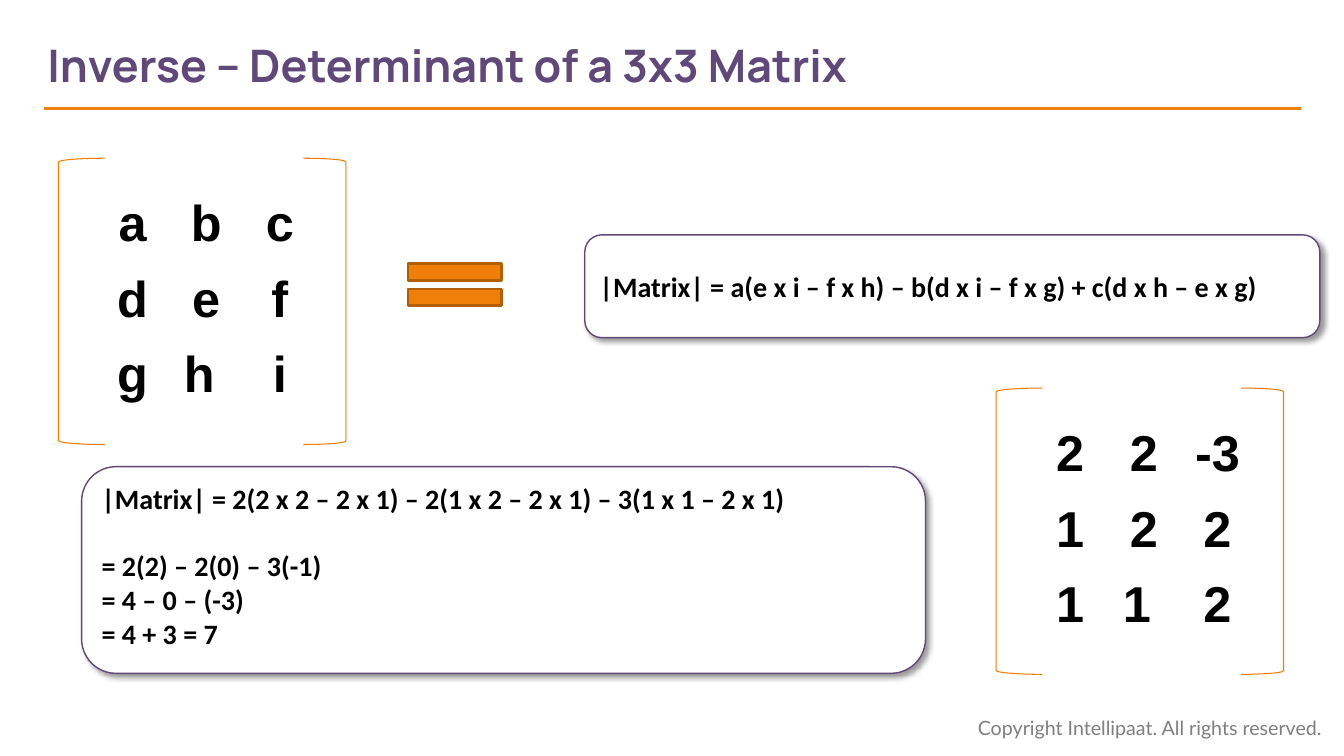
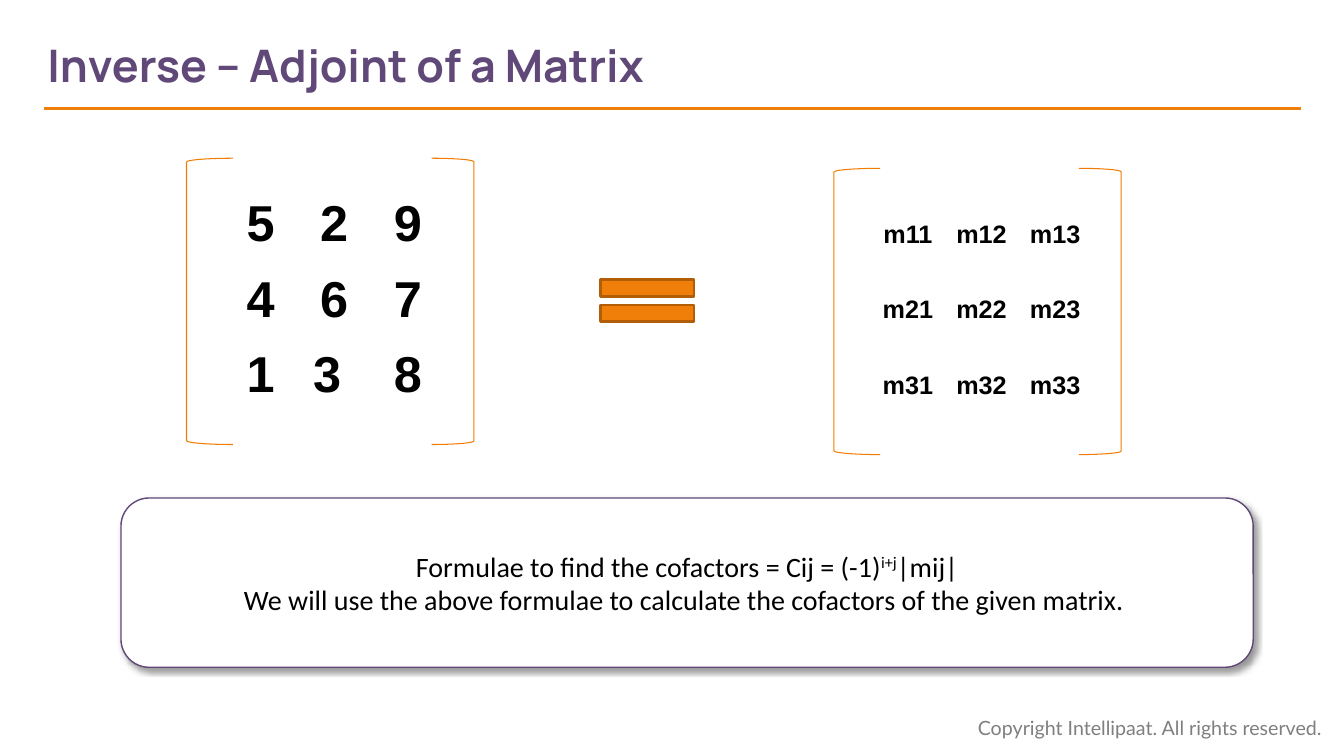
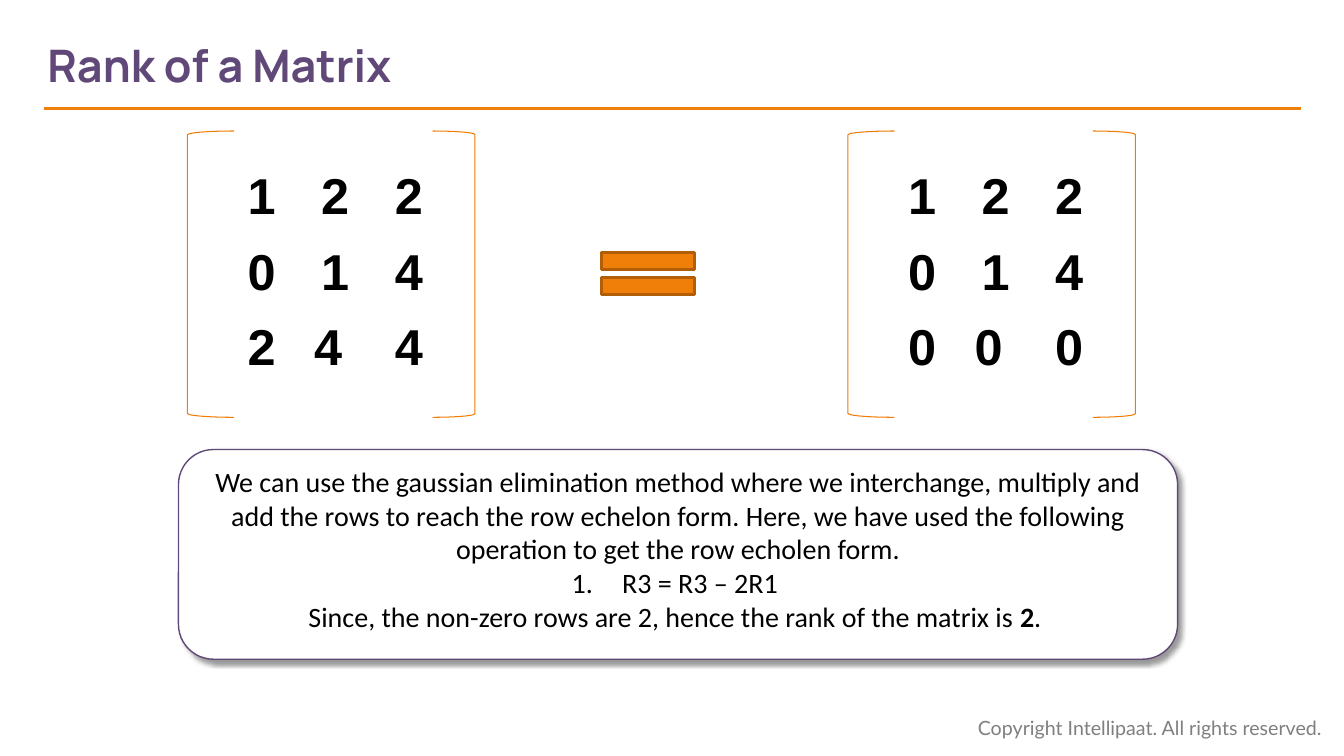
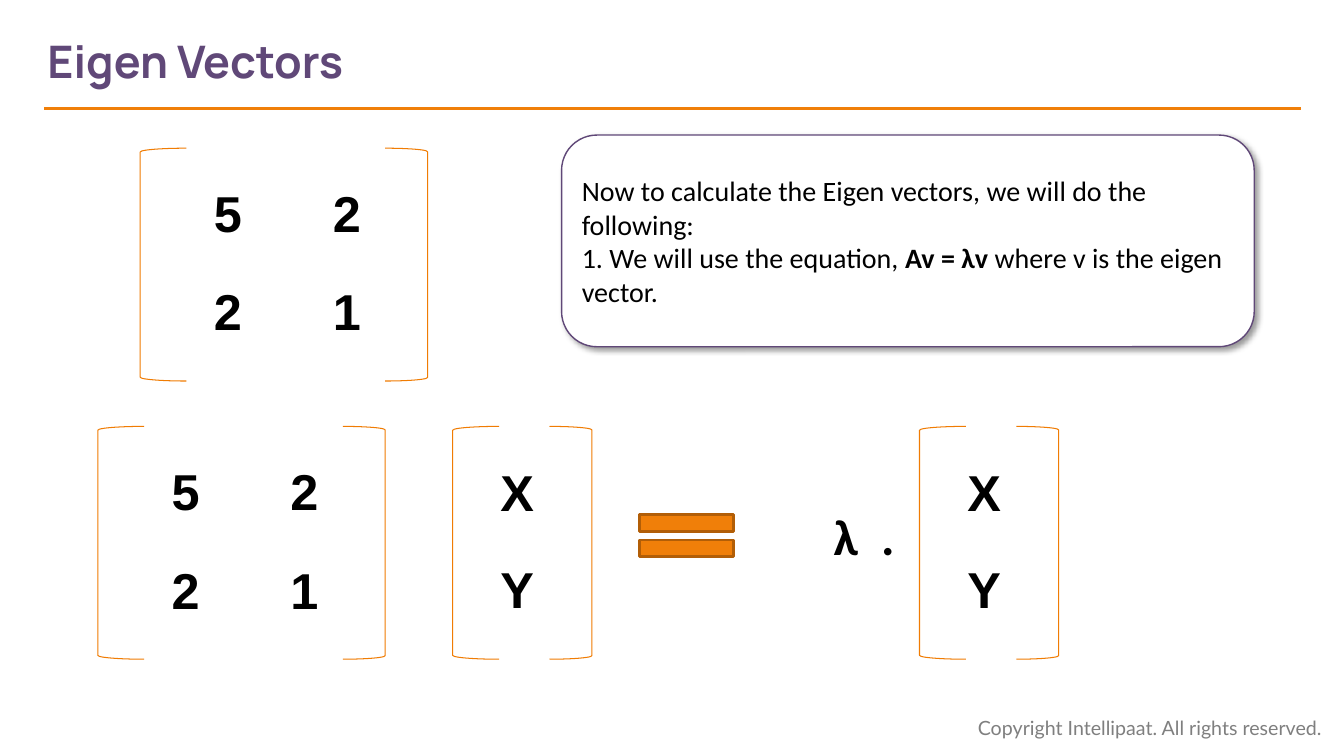
from dataclasses import dataclass

from lxml import etree
from pptx import Presentation
from pptx.dml.color import RGBColor
from pptx.enum.shapes import MSO_CONNECTOR, MSO_SHAPE
from pptx.enum.text import MSO_ANCHOR, PP_ALIGN
from pptx.oxml.ns import qn
from pptx.util import Inches, Pt

LEFT, CENTER = PP_ALIGN.LEFT, PP_ALIGN.CENTER
TOP, MIDDLE = MSO_ANCHOR.TOP, MSO_ANCHOR.MIDDLE
LEFT_BRACKET, RIGHT_BRACKET = MSO_SHAPE.LEFT_BRACKET, MSO_SHAPE.RIGHT_BRACKET
EQUALS, ROUNDED = MSO_SHAPE.MATH_EQUAL, MSO_SHAPE.ROUNDED_RECTANGLE
STRAIGHT = MSO_CONNECTOR.STRAIGHT
TITLE_ONLY = 5


@dataclass(frozen=True)
class Theme:
    purple: RGBColor = RGBColor(0x60, 0x48, 0x78)
    orange: RGBColor = RGBColor(0xF0, 0x7F, 0x09)
    bracket: RGBColor = RGBColor(0xF0, 0x7C, 0x03)
    brown: RGBColor = RGBColor(0xB2, 0x5E, 0x07)
    gray: RGBColor = RGBColor(0x7F, 0x7F, 0x7F)
    black: RGBColor = RGBColor(0, 0, 0)
    white: RGBColor = RGBColor(0xFF, 0xFF, 0xFF)
    title_font: str = "Manrope"
    body_font: str = "Calibri"
    matrix_font: str = "Arial"
    footer_font: str = "Lato"
    title_size: int = 32
    matrix_size: int = 36
    minor_size: int = 18
    body_size: int = 20
    footer_size: int = 14


@dataclass(frozen=True)
class MatrixFormat:
    """Bracket box, cell size and offset of the cells inside the box, in inches."""
    width: float
    height: float
    cell_width: float
    cell_height: float
    inset_x: float
    inset_y: float


THEME = Theme()
THREE_BY_THREE = MatrixFormat(2.85, 2.84, 0.73, 0.75, 0.37, 0.28)
TWO_BY_TWO = MatrixFormat(2.85, 2.31, 1.18, 0.98, 0.28, 0.17)
VECTOR = MatrixFormat(1.38, 2.31, 0.86, 0.96, 0.21, 0.19)


def box(left, top, width, height):
    return Inches(left), Inches(top), Inches(width), Inches(height)


def style_font(paragraph, name, size, color, bold=False):
    font = paragraph.font
    font.name, font.size, font.bold = name, Pt(size), bold
    font.color.rgb = color


def style_line(shape, color, width):
    shape.line.color.rgb = color
    shape.line.width = Pt(width)


# Shared parts
def build_layout(presentation):
    """Put the title rule and the copyright line on the layout."""
    layout = presentation.slide_layouts[TITLE_ONLY]
    for placeholder in list(layout.placeholders):
        if placeholder.placeholder_format.idx:
            layout.shapes.element.remove(placeholder.element)
    slide = presentation.slides.add_slide(layout)

    rule = slide.shapes.add_connector(
        STRAIGHT, Inches(0.44), Inches(1.08), Inches(12.9), Inches(1.08))
    style_line(rule, THEME.orange, 2.25)
    etree.SubElement(rule.element.spPr, qn("a:effectLst"))

    footer = slide.shapes.add_textbox(*box(9.6, 7.05, 3.67, 0.34))
    footer.text_frame.word_wrap = True
    paragraph = footer.text_frame.paragraphs[0]
    paragraph.text = "Copyright Intellipaat. All rights reserved."
    style_font(paragraph, THEME.footer_font, THEME.footer_size, THEME.gray)

    for shape in (rule, footer):
        layout.shapes.element.append(shape.element)
    return slide


def set_title(slide, text, top=0.22):
    title = slide.shapes.title
    title.left, title.top, title.width, title.height = box(0.47, top, 9.47, 0.84)
    frame = title.text_frame
    frame.margin_left = 0
    frame.vertical_anchor = MIDDLE
    paragraph = frame.paragraphs[0]
    paragraph.text = text
    paragraph.alignment = LEFT
    style_font(paragraph, THEME.title_font, THEME.title_size, THEME.purple, True)


# Matrix parts
def add_matrix(slide, left, top, rows, layout=THREE_BY_THREE, size=THEME.matrix_size):
    """Draw bracketed cells; rows holds the cell texts."""
    group = slide.shapes.add_group_shape()
    right_width = 0.42
    for kind, x, width in ((LEFT_BRACKET, left, 0.46),
                           (RIGHT_BRACKET, left + layout.width - right_width, right_width)):
        bracket = group.shapes.add_shape(kind, *box(x, top, width, layout.height))
        bracket.shadow.inherit = False
        bracket.fill.background()
        style_line(bracket, THEME.bracket, 0.75)

    row_count, column_count = len(rows), len(rows[0])
    table = slide.shapes.add_table(row_count, column_count, *box(
        left + layout.inset_x, top + layout.inset_y,
        column_count * layout.cell_width, row_count * layout.cell_height)).table
    table.first_row = table.horz_banding = False
    for row_index, row in enumerate(rows):
        for column_index, text in enumerate(row):
            cell = table.cell(row_index, column_index)
            cell.fill.background()
            cell.vertical_anchor = MIDDLE
            paragraph = cell.text_frame.paragraphs[0]
            paragraph.text = text
            paragraph.alignment = CENTER
            style_font(paragraph, THEME.matrix_font, size, THEME.black, True)


def add_equals(slide, left, top):
    sign = slide.shapes.add_shape(EQUALS, *box(left, top, 1.26, 0.71))
    sign.shadow.inherit = False
    sign.fill.solid()
    sign.fill.fore_color.rgb = THEME.orange
    style_line(sign, THEME.brown, 2)


def add_scalar(slide, left, top):
    """Write the lambda factor, with its dot on a tab stop."""
    scalar = slide.shapes.add_textbox(*box(left, top, 0.95, 0.71))
    scalar.text_frame.word_wrap = True
    paragraph = scalar.text_frame.paragraphs[0]
    paragraph.text = "λ\t."
    properties = paragraph._p.get_or_add_pPr()
    tabs = etree.SubElement(properties, qn("a:tabLst"))
    etree.SubElement(tabs, qn("a:tab"), pos=str(Inches(0.47)), algn="l")
    style_font(paragraph, THEME.body_font, THEME.matrix_size, THEME.black, True)


# Explanation cards
def add_shadow(shape):
    shape.shadow.inherit = False
    effects = shape.element.spPr.find(qn("a:effectLst"))
    shadow = etree.SubElement(
        effects, qn("a:outerShdw"), blurRad=str(Pt(4)), dist=str(Pt(3)),
        dir="2700000", algn="tl", rotWithShape="0")
    color = etree.SubElement(shadow, qn("a:srgbClr"), val=str(THEME.black))
    etree.SubElement(color, qn("a:alpha"), val="40000")


def number_paragraph(paragraph):
    properties = paragraph._p.get_or_add_pPr()
    properties.set("marL", str(Inches(0.5)))
    properties.set("indent", str(Inches(-0.5)))
    etree.SubElement(properties, qn("a:buAutoNum"), type="arabicPeriod")


def add_card(slide, left, top, width, height, paragraphs,
             alignment=LEFT, anchor=MIDDLE, bold=False, numbered=()):
    """Each paragraph is a list of runs: a text, or a (text, style) pair."""
    card = slide.shapes.add_shape(ROUNDED, *box(left, top, width, height))
    card.fill.solid()
    card.fill.fore_color.rgb = THEME.white
    style_line(card, THEME.purple, 1)
    add_shadow(card)
    frame = card.text_frame
    frame.word_wrap = True
    frame.vertical_anchor = anchor
    for index, runs in enumerate(paragraphs):
        paragraph = frame.add_paragraph() if index else frame.paragraphs[0]
        paragraph.alignment = alignment
        if index in numbered:
            number_paragraph(paragraph)
        style_font(paragraph, THEME.body_font, THEME.body_size, THEME.black, bold)
        for item in runs:
            text, style = (item, None) if isinstance(item, str) else item
            run = paragraph.add_run()
            run.text = text
            if style == "bold":
                run.font.bold = True
            elif style == "superscript":
                run._r.get_or_add_rPr().set("baseline", "30000")
    return card


# Slides
def build_determinant(slide):
    set_title(slide, "Inverse – Determinant of a 3x3 Matrix")
    add_matrix(slide, 0.58, 1.57, ["abc", "def", ("g", "h ", "i")])
    add_equals(slide, 3.88, 2.47)
    add_card(slide, 5.8, 2.33, 7.29, 1.02, [
        ["|Matrix| = a(e x i – f x h) – b(d x i – f x g) + c(d x h – e x g)"],
    ], bold=True)
    add_matrix(slide, 9.88, 3.85, [("2", "2", "-3"), "122", ("1", "1 ", "2")])
    working = add_card(slide, 0.81, 4.63, 8.37, 2.05, [
        ["|Matrix| = 2(2 x 2 – 2 x 1) – 2(1 x 2 – 2 x 1) – 3(1 x 1 – 2 x 1)"],
        ["= 2(2) – 2(0) – 3(-1)"],
        ["= 4 – 0 – (-3)"],
        ["= 4 + 3 = 7"],
    ], anchor=TOP, bold=True)
    working.text_frame.paragraphs[1].space_before = Pt(24)


def build_adjoint(slide):
    set_title(slide, "Inverse – Adjoint of a Matrix")
    add_matrix(slide, 1.85, 1.57, ["529", "467", ("1", "3 ", "8")])
    add_equals(slide, 5.79, 2.63)
    minors = [("m11", "m12", "m13"), ("m21", "m22", "m23"), ("m31", "m32 ", "m33")]
    add_matrix(slide, 8.27, 1.67, minors, size=THEME.minor_size)
    add_card(slide, 1.2, 4.94, 11.23, 1.68, [
        ["Formulae to find the cofactors = Cij = (-1)", ("i+j", "superscript"), "|mij|"],
        ["We will use the above formulae to calculate the cofactors of the given matrix. "],
    ], alignment=CENTER)


def build_rank(slide):
    set_title(slide, "Rank of a Matrix")
    add_matrix(slide, 1.86, 1.3, ["122", "014", ("2", "4 ", "4")])
    add_equals(slide, 5.8, 2.36)
    add_matrix(slide, 8.41, 1.3, ["122", "014", ("0", "0 ", "0")])
    add_card(slide, 1.77, 4.46, 9.91, 2.08, [
        ["We can use the gaussian elimination method where we interchange, multiply and "
         "add the rows to reach the row echelon form. Here, we have used the following "
         "operation to get the row echolen form."],
        ["R3 = R3 – 2R1 "],
        ["Since, the non-zero rows are 2, hence the rank of the matrix is ",
         ("2", "bold"), ". "],
    ], alignment=CENTER, anchor=TOP, numbered=(1,))


def build_eigenvectors(slide):
    set_title(slide, "Eigen Vectors", top=0.18)
    coefficients, unknowns = ["52", "21"], ["X", "Y"]
    add_matrix(slide, 1.39, 1.47, coefficients, TWO_BY_TWO)
    add_card(slide, 5.57, 1.34, 6.87, 2.1, [
        ["Now to calculate the Eigen vectors, we will do the following:"],
        ["1. We will use the equation, ", ("Av = λv ", "bold"),
         "where v is the eigen vector."],
    ])
    # Equation row
    equation_top = 4.23
    add_matrix(slide, 0.97, equation_top, coefficients, TWO_BY_TWO)
    for left in (4.49, 9.12):
        add_matrix(slide, left, equation_top, unknowns, VECTOR)
    add_equals(slide, 6.18, 4.96)
    add_scalar(slide, 8.17, 4.96)


def main():
    presentation = Presentation()
    presentation.slide_width, presentation.slide_height = Inches(13.33), Inches(7.5)
    first_slide = build_layout(presentation)
    build_determinant(first_slide)
    for build in (build_adjoint, build_rank, build_eigenvectors):
        build(presentation.slides.add_slide(first_slide.slide_layout))
    presentation.save("out.pptx")


if __name__ == "__main__":
    main()
